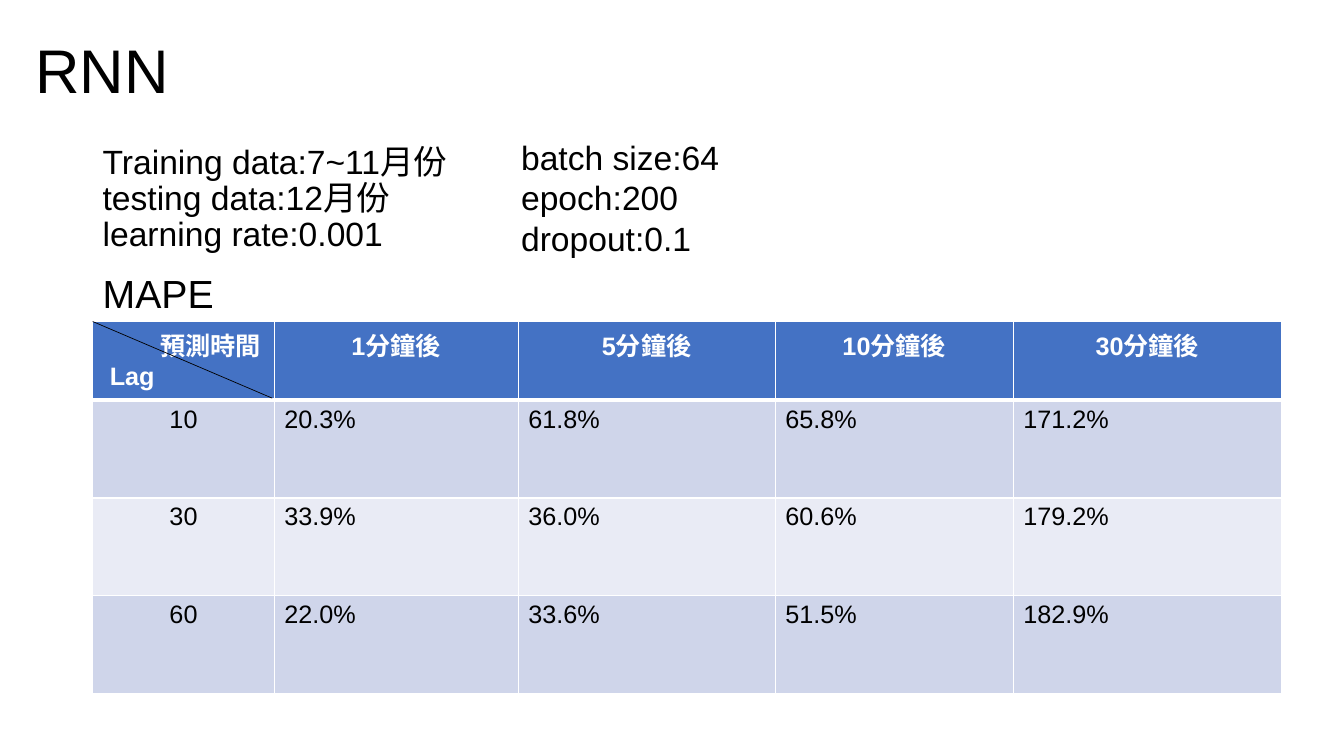
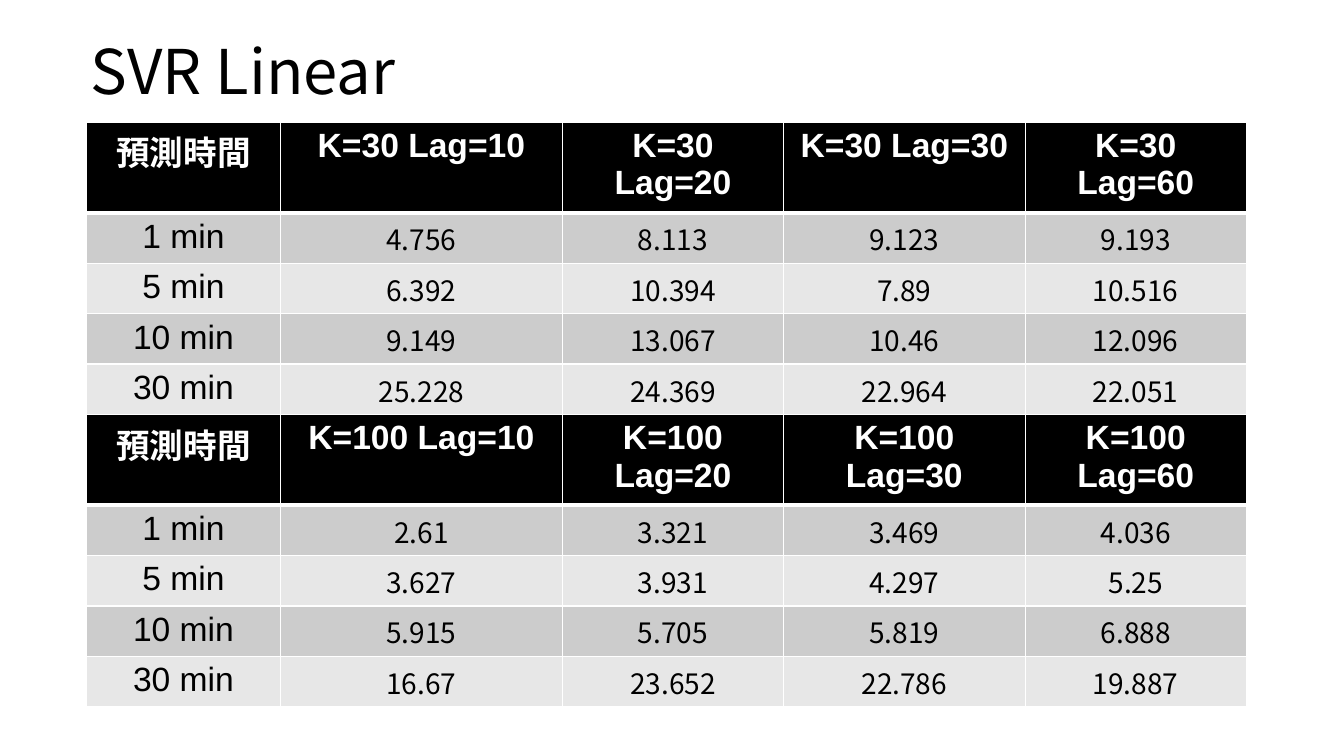
from dataclasses import dataclass

from lxml.etree import SubElement
from pptx import Presentation
from pptx.dml.color import RGBColor as RGB
from pptx.enum.shapes import MSO_CONNECTOR as Connector
from pptx.enum.text import MSO_ANCHOR as Anchor, PP_ALIGN as Align
from pptx.oxml.ns import qn
from pptx.util import Inches, Pt


@dataclass(frozen=True)
class Theme:
    text: str = "000000"
    inverse: str = "FFFFFF"
    blue: tuple = ("4472C4", "CFD5EA", "E9EBF5")  # header, odd row, even row
    gray: tuple = ("000000", "CCCCCC", "E7E7E7")
    font: str = "Arial"
    cjk_font: str = "Noto Sans CJK SC"
    title: int = 44
    label: int = 28
    body: int = 24
    value: int = 20
    small: int = 18
    rule: int = 1
    header_rule: int = 3
    diagonal: float = 0.5


def apply(target, formats):
    for name, value in formats.items():
        setattr(target, name, value)


class Deck:
    def __init__(self, theme):
        self.theme = theme
        self.presentation = Presentation()
        apply(self.presentation, {"slide_width": Inches(13.33), "slide_height": Inches(7.5)})
        self.slide = None

    def new_slide(self):
        self.slide = self.presentation.slides.add_slide(self.presentation.slide_layouts[6])

    def fill_text(self, frame, lines, size, color=None, font=None, bold=False, **formats):
        """Add one paragraph for each line; formats apply to every paragraph."""
        for index, line in enumerate(lines):
            paragraph = frame.paragraphs[0] if index == 0 else frame.add_paragraph()
            paragraph.text = line
            apply(paragraph, formats)
            run_font = paragraph.runs[0].font
            apply(run_font, {"size": Pt(size), "name": font or self.theme.font, "bold": bold})
            run_font.color.rgb = RGB.from_string(color or self.theme.text)

    def text(self, box, lines, size, anchor=Anchor.TOP, **formats):
        shape = self.slide.shapes.add_textbox(*map(Inches, box))
        apply(shape.text_frame, {"word_wrap": True, "vertical_anchor": anchor})
        self.fill_text(shape.text_frame, lines, size, **formats)

    def title(self, box, text, font=None):
        self.text(box, [text], self.theme.title, Anchor.MIDDLE, font=font, line_spacing=0.9)

    def borders(self, cell, row):
        top = self.theme.header_rule if row == 1 else self.theme.rule
        bottom = self.theme.header_rule if row == 0 else self.theme.rule
        sides = {"lnL": self.theme.rule, "lnR": self.theme.rule, "lnT": top, "lnB": bottom}
        properties = cell._tc.get_or_add_tcPr()
        for side, width in sides.items():
            line = SubElement(properties, qn(f"a:{side}"), w=str(Pt(width)))
            fill = SubElement(line, qn("a:solidFill"))
            SubElement(fill, qn("a:srgbClr"), val=self.theme.inverse)

    def table(self, corner, widths, heights, rows, palette, size, value_style, value_cell):
        """The first row is the header, the first column holds row labels."""
        box = (*corner, sum(widths), sum(heights))
        table = self.slide.shapes.add_table(len(rows), len(widths), *map(Inches, box)).table
        for column, width in zip(table.columns, widths):
            column.width = Inches(width)
        for r, (row, height) in enumerate(zip(rows, heights)):
            table.rows[r].height = Inches(height)
            for c, content in enumerate(row):
                cell = table.cell(r, c)
                self.borders(cell, r)
                cell.fill.solid()
                shade = palette[0] if r == 0 else palette[2 - r % 2]
                cell.fill.fore_color.rgb = RGB.from_string(shade)
                style = {"size": size, "alignment": Align.CENTER}
                if r == 0:
                    style.update(color=self.theme.inverse, bold=True)
                elif c > 0:
                    style.update(value_style)
                    apply(cell, value_cell)
                lines = content if isinstance(content, list) else [content]
                self.fill_text(cell.text_frame, lines, **style)
        return table

    def line(self, start, end):
        ends = map(Inches, (*start, *end))
        connector = self.slide.shapes.add_connector(Connector.STRAIGHT, *ends)
        connector.line.color.rgb = RGB.from_string(self.theme.text)
        connector.line.width = Pt(self.theme.diagonal)
        SubElement(connector._element.spPr, qn("a:effectLst"))


def rnn_slide(deck):
    theme = deck.theme
    deck.new_slide()
    deck.title((0.25, 0, 2.2, 1.45), "RNN")

    # Training settings
    deck.text((0.92, 1.39, 4, 1.2),
              ["Training data:7~11月份", "testing data:12月份", "learning rate:0.001"],
              theme.body, line_spacing=0.9)
    deck.text((5.07, 1.31, 6.68, 1.31),
              ["batch size:64", "epoch:200", "dropout:0.1"], theme.body)

    # Error table
    deck.text((0.92, 2.62, 3.49, 0.57), ["MAPE"], theme.label)
    rows = [
        [["預測時間", "Lag"], "1分鐘後", "5分鐘後", "10分鐘後", "30分鐘後"],
        ["10", "20.3%", "61.8%", "65.8%", "171.2%"],
        ["30", "33.9%", "36.0%", "60.6%", "179.2%"],
        ["60", "22.0%", "33.6%", "51.5%", "182.9%"],
    ]
    table = deck.table((0.92, 3.19), (1.8, 2.42, 2.55, 2.36, 2.66), (0.78, *[0.97] * 3), rows,
                       theme.blue, theme.small, {"alignment": Align.LEFT}, {})

    # Split corner cell
    corner = table.cell(0, 0)
    apply(corner, {"margin_left": Inches(0.17), "margin_right": Inches(0.13)})
    for paragraph, alignment in zip(corner.text_frame.paragraphs, (Align.RIGHT, Align.LEFT)):
        paragraph.alignment = alignment
    deck.line((0.92, 3.19), (2.7, 3.95))


def svr_slide(deck):
    theme = deck.theme
    deck.new_slide()
    deck.title((0.8, 0.01, 11.5, 1.45), "SVR Linear", theme.cjk_font)

    # One table for each K
    lags = (10, 20, 30, 60)
    times = ("1 min", "5 min", "10 min", "30 min")
    results = {
        30: (("4.756", "8.113", "9.123", "9.193"),
             ("6.392", "10.394", "7.89", "10.516"),
             ("9.149", "13.067", "10.46", "12.096"),
             ("25.228", "24.369", "22.964", "22.051")),
        100: (("2.61", "3.321", "3.469", "4.036"),
              ("3.627", "3.931", "4.297", "5.25"),
              ("5.915", "5.705", "5.819", "6.888"),
              ("16.67", "23.652", "22.786", "19.887")),
    }
    margin = Inches(0.01)
    value_cell = {"vertical_anchor": Anchor.MIDDLE, "margin_left": margin,
                  "margin_right": margin, "margin_top": margin, "margin_bottom": 0}
    for index, (k, values) in enumerate(results.items()):
        header = ["預測時間", *(f"K={k} Lag={lag}" for lag in lags)]
        rows = [header, *([time, *row] for time, row in zip(times, values))]
        deck.table((0.86, 1.21 + index * 2.9), (1.92, 2.8, 2.19, 2.4, 2.19),
                   (0.84, *[0.47] * 4), rows, theme.gray, theme.body,
                   {"size": theme.value, "font": theme.cjk_font}, value_cell)


def main():
    deck = Deck(Theme())
    rnn_slide(deck)
    svr_slide(deck)
    deck.presentation.save("out.pptx")


if __name__ == "__main__":
    main()
